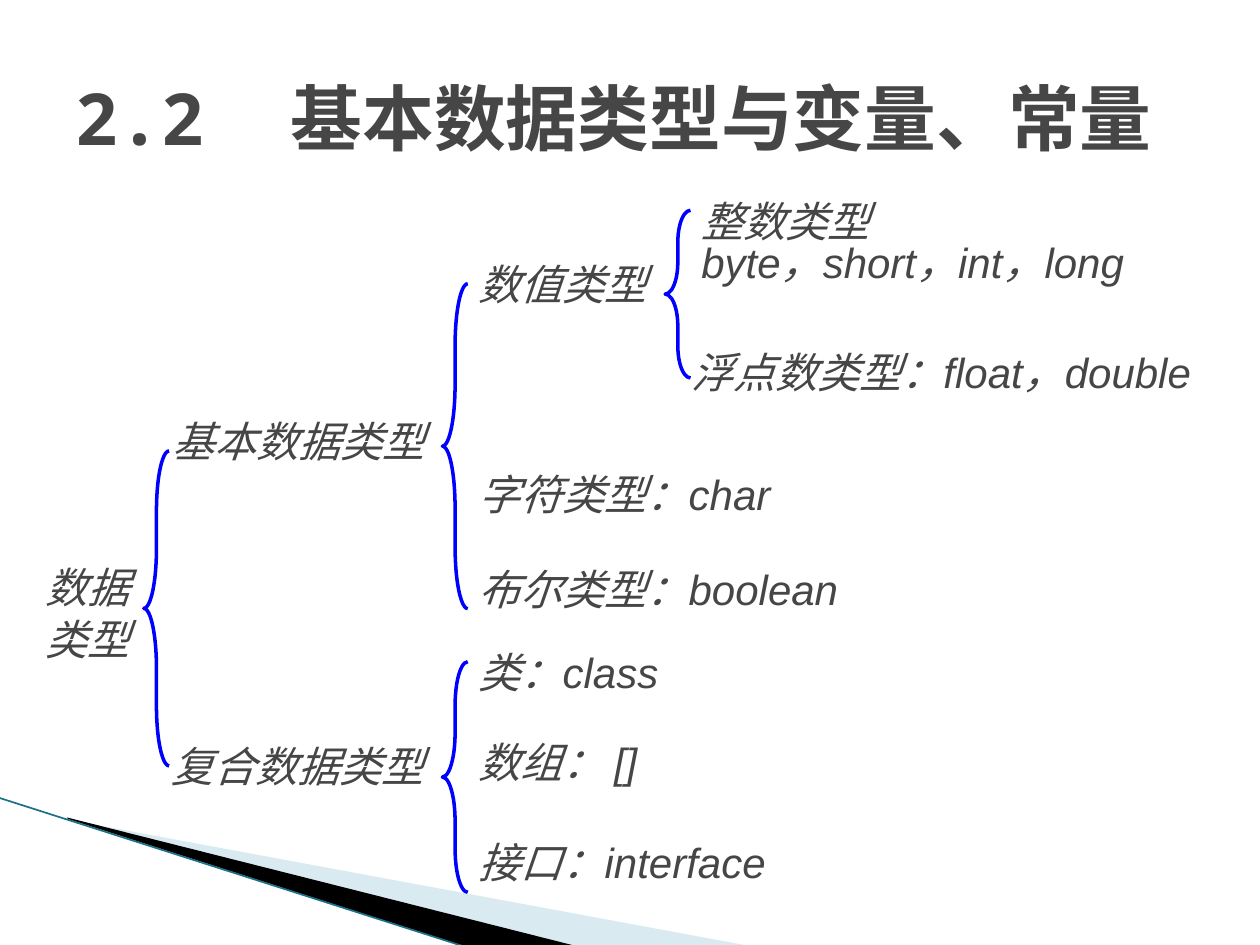
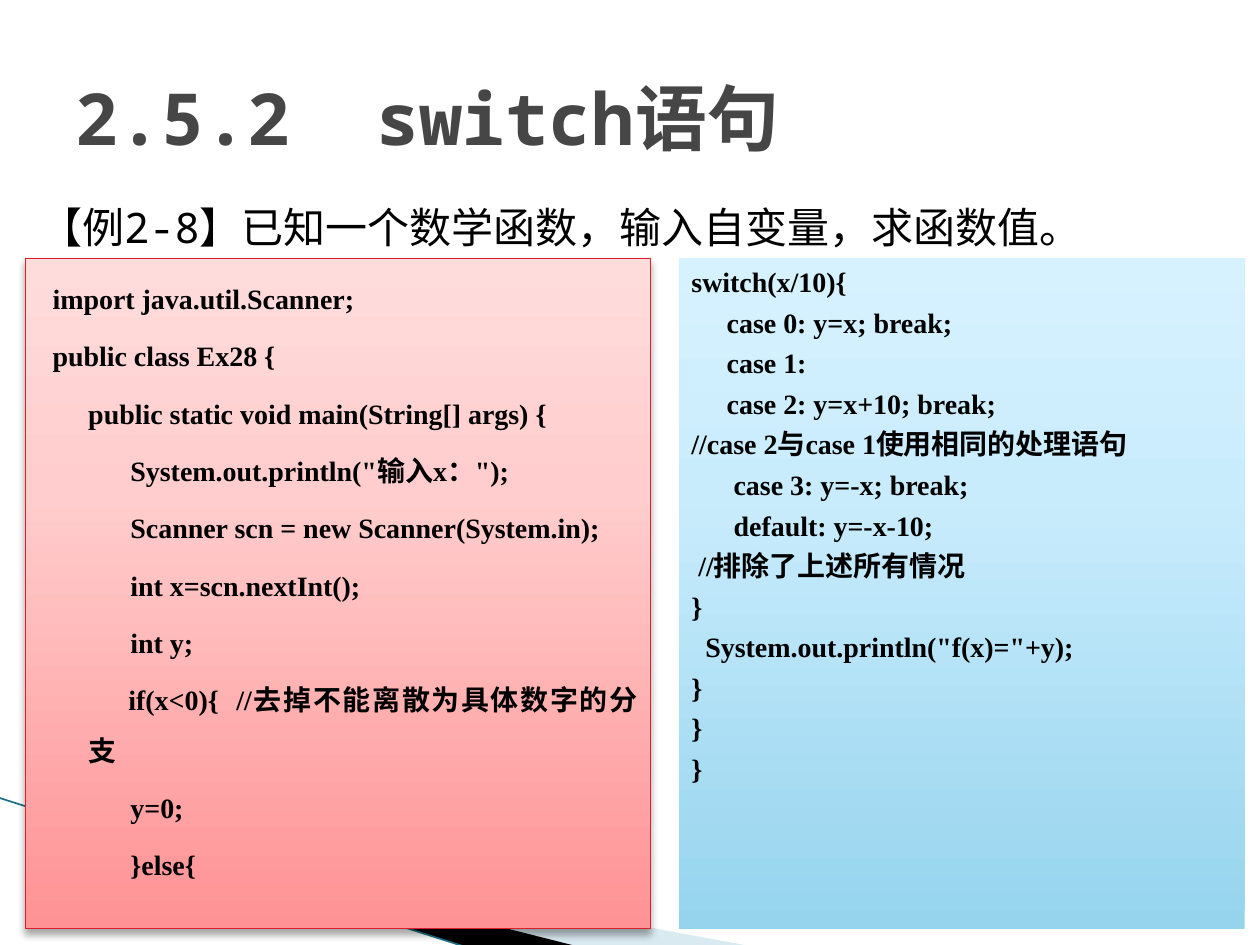
from copy import deepcopy

from lxml.etree import SubElement
from pptx import Presentation
from pptx.dml.color import RGBColor
from pptx.enum.shapes import MSO_CONNECTOR as Connector, MSO_SHAPE as Shape
from pptx.enum.text import MSO_ANCHOR as Anchor, MSO_AUTO_SIZE as AutoSize, PP_ALIGN as Align
from pptx.oxml.ns import qn
from pptx.util import Cm, Pt

# Shared look (lengths in cm)
GREY, BLACK, BLUE = "464646", "000000", "0000FF"
MONO, SANS, SERIF = "Noto Sans Mono", "Arial", "Times New Roman"
TITLE_BOX = (1.27, 0.76, 22.86, 3.18)
PALE_BAND = [(1.4, 16.53), (15.11, 19.07), (11.58, 19.07), (1.4, 16.51)]
BLACK_BAND = [(1.35, 16.48), (11.61, 19.07), (9.45, 19.1), (1.37, 16.51)]
EDGE = [(-0.03, 16.08), (9.42, 19.1)]

# Slide 1: tree of data types
TYPES_TITLE = "2.2  基本数据类型与变量、常量"
LABEL_HEIGHT, LEAF_LEFT, LEAF_WIDTH = 1.3, 9.4, 9.73
LEAVES = [
    ("数值类型", 5.08),
    ("字符类型：char", 9.32),
    ("布尔类型：boolean", 11.23),
    ("类：class", 12.9),
    ("数组： []", 14.73),
    ("接口：interface", 16.74),
]
BRANCHES = [  # text, left, top, width
    ("基本数据类型", 3.23, 8.26, 6.78),
    ("复合数据类型", 3.2, 14.81, 6.55),
    ("浮点数类型：float，double", 13.69, 6.86, 11.51),
]
ROOT = (["数据", "类型"], (-0.56, 11.56, 4.65, 2.01))
INTEGERS = (["整数类型", "byte，short，int，long"], (13.89, 4.34, 10.8, 1.6))
BRACE_WIDTH, BRACE_CURVE = 0.51, 0.19
BRACES = [(2.9, 9.09, 6.35), (8.92, 5.72, 6.55), (8.92, 13.34, 4.65), (13.41, 4.24, 3.38)]

# Slide 2: code in two panels, each line with its indent
SWITCH_TITLE = "2.5.2  switch语句"
EXAMPLE = "【例2-8】已知一个数学函数，输入自变量，求函数值。"
EXAMPLE_BOX = (0.56, 3.94, 24.33, 1.27)
LEFT_PANEL, RIGHT_PANEL = (0.51, 5.21, 12.6, 13.51), (13.69, 5.21, 11.4, 13.51)
RED_STOPS = [(0, "FF9294"), (0.65, "FFCDCD"), (1, "FFDCDC")]
BLUE_STOPS = [(0, "96D4EE"), (0.65, "C9ECFC"), (1, "D7F2FF")]
WRAP_INDENT = 1.02
LEFT_CODE = [
    (0.3, "import java.util.Scanner;"),
    (0.3, "public class Ex28 {"),
    (1.02, "public static void main(String[] args) {"),
    (1.87, 'System.out.println("输入x：");'),
    (1.87, "Scanner scn = new Scanner(System.in);"),
    (1.87, "int x=scn.nextInt();"),
    (1.87, "int y;"),
    (1.83, "if(x<0){  //去掉不能离散为具体数字的分支"),
    (1.87, "y=0;"),
    (1.87, "}else{"),
]
RIGHT_CODE = [
    (0, "switch(x/10){"),
    (0.71, "case 0: y=x; break;"),
    (0.71, "case 1:"),
    (0.71, "case 2: y=x+10; break;"),
    (0, "//case 2与case 1使用相同的处理语句"),
    (0.85, "case 3: y=-x; break;"),
    (0.85, "default: y=-x-10;"),
    (0.14, "//排除了上述所有情况"),
    (0, "}"),
    (0.28, 'System.out.println("f(x)="+y);'),
    (0, "}"),
    (0, "}"),
    (0, "}"),
]


def rgb(code):
    return RGBColor.from_string(code)


def cm(*lengths):
    return [Cm(length) for length in lengths]


def write(frame, lines, font, size, color, bold=False, italic=False, align=None, spacing=None):
    """Fill a text frame, one paragraph a line, and return the paragraphs."""
    frame.word_wrap = True
    frame.text = "\n".join(lines)
    for paragraph in frame.paragraphs:
        paragraph.alignment = align
        paragraph.line_spacing = spacing
        style = paragraph.font
        style.name, style.size, style.bold, style.italic = font, Pt(size), bold, italic
        style.color.rgb = rgb(color)
    return frame.paragraphs


def add_text(slide, box, lines, *style, **options):
    frame = slide.shapes.add_textbox(*cm(*box)).text_frame
    frame.auto_size = AutoSize.SHAPE_TO_FIT_TEXT
    return write(frame, lines, *style, **options)


def add_label(slide, box, lines, **options):
    """Italic tree label; the gap above each line is half a line."""
    for paragraph in add_text(slide, box, lines, SANS, 24, GREY, italic=True, **options):
        paragraph.space_before = Pt(0)
        gap = paragraph._p.pPr.find(qn("a:spcBef"))
        gap.remove(gap[0])
        SubElement(gap, qn("a:spcPct"), val="50000")


def add_band(slide, corners, color, opacity=None):
    start, *others = [cm(*corner) for corner in corners]
    builder = slide.shapes.build_freeform(*start)
    builder.add_line_segments(others, close=True)
    band = builder.convert_to_shape()
    band.shadow.inherit = False
    band.line.fill.background()
    band.fill.solid()
    band.fill.fore_color.rgb = rgb(color)
    if opacity:
        fill_color = band._element.spPr.find(".//" + qn("a:srgbClr"))
        SubElement(fill_color, qn("a:alpha"), val=str(opacity * 1000))


def add_slide(deck, title):
    """Blank slide with the corner bands and the title."""
    slide = deck.slides.add_slide(deck.slide_layouts[6])
    add_band(slide, PALE_BAND, "A0CBDC", opacity=40)
    add_band(slide, BLACK_BAND, BLACK)
    edge = slide.shapes.add_connector(Connector.STRAIGHT, *cm(*EDGE[0], *EDGE[1]))
    edge.line.color.rgb = rgb("1B7088")
    edge.line.width = Pt(0.95)
    SubElement(edge._element.spPr, qn("a:effectLst"))
    frame = slide.shapes.add_textbox(*cm(*TITLE_BOX)).text_frame
    frame.vertical_anchor = Anchor.MIDDLE
    write(frame, [title], MONO, 41, GREY, bold=True)
    return slide


def add_brace(slide, left, top, height):
    brace = slide.shapes.add_shape(Shape.LEFT_BRACE, *cm(left, top, BRACE_WIDTH, height))
    brace.shadow.inherit = False
    brace.fill.background()
    brace.line.color.rgb = rgb(BLUE)
    brace.line.width = Pt(2)
    brace.adjustments[0] = BRACE_CURVE * height / BRACE_WIDTH


def add_panel(slide, box, stops, code, wrap_indent=None, **options):
    """Gradient panel of code; wrapped lines start at wrap_indent."""
    panel = slide.shapes.add_shape(Shape.RECTANGLE, *cm(*box))
    panel.shadow.inherit = False
    panel.line.fill.background()
    panel.fill.gradient()
    panel.fill.gradient_angle = 90
    stop_list = panel._element.spPr.find(".//" + qn("a:gsLst"))
    stop_list.append(deepcopy(stop_list[0]))
    for stop, (position, color) in zip(panel.fill.gradient_stops, stops):
        stop.position = position
        stop.color.rgb = rgb(color)

    panel.text_frame.vertical_anchor = Anchor.TOP
    lines = [text for _, text in code]
    paragraphs = write(panel.text_frame, lines, SERIF, 16, BLACK, bold=True, **options)
    for paragraph, (first, _) in zip(paragraphs, code):
        paragraph.space_before = Pt(4)
        rest = first if wrap_indent is None else wrap_indent
        properties = paragraph._p.get_or_add_pPr()
        properties.set("marL", str(Cm(rest)))
        properties.set("indent", str(Cm(first) - Cm(rest)))
    return panel


def add_drop_shadow(panel):
    effects = panel._element.spPr.find(qn("a:effectLst"))
    shadow = SubElement(effects, qn("a:outerShdw"), blurRad=str(Pt(4)), dist=str(Pt(3)),
                        dir="5400000", rotWithShape="0")
    color = SubElement(shadow, qn("a:srgbClr"), val=BLACK)
    SubElement(color, qn("a:alpha"), val="35000")


def build_types_slide(deck):
    slide = add_slide(deck, TYPES_TITLE)
    for brace in BRACES:
        add_brace(slide, *brace)
    leaves = [(text, LEAF_LEFT, top, LEAF_WIDTH) for text, top in LEAVES]
    for text, left, top, width in BRANCHES + leaves:
        add_label(slide, (left, top, width, LABEL_HEIGHT), [text])
    root_lines, root_box = ROOT
    add_label(slide, root_box, root_lines, align=Align.CENTER, spacing=0.6)
    integer_lines, integer_box = INTEGERS
    add_label(slide, integer_box, integer_lines, spacing=0.4)


def build_switch_slide(deck):
    slide = add_slide(deck, SWITCH_TITLE)
    red_panel = add_panel(slide, LEFT_PANEL, RED_STOPS, LEFT_CODE, WRAP_INDENT,
                          align=Align.JUSTIFY, spacing=1.5)
    red_panel.line.color.rgb = rgb("DA1F28")
    red_panel.line.width = Pt(0.75)
    add_drop_shadow(red_panel)
    add_panel(slide, RIGHT_PANEL, BLUE_STOPS, RIGHT_CODE, align=Align.LEFT)
    add_text(slide, EXAMPLE_BOX, [EXAMPLE], MONO, 24, BLACK)


def main():
    deck = Presentation()
    deck.slide_width, deck.slide_height = cm(25.4, 19.05)
    build_types_slide(deck)
    build_switch_slide(deck)
    deck.save("out.pptx")


if __name__ == "__main__":
    main()
